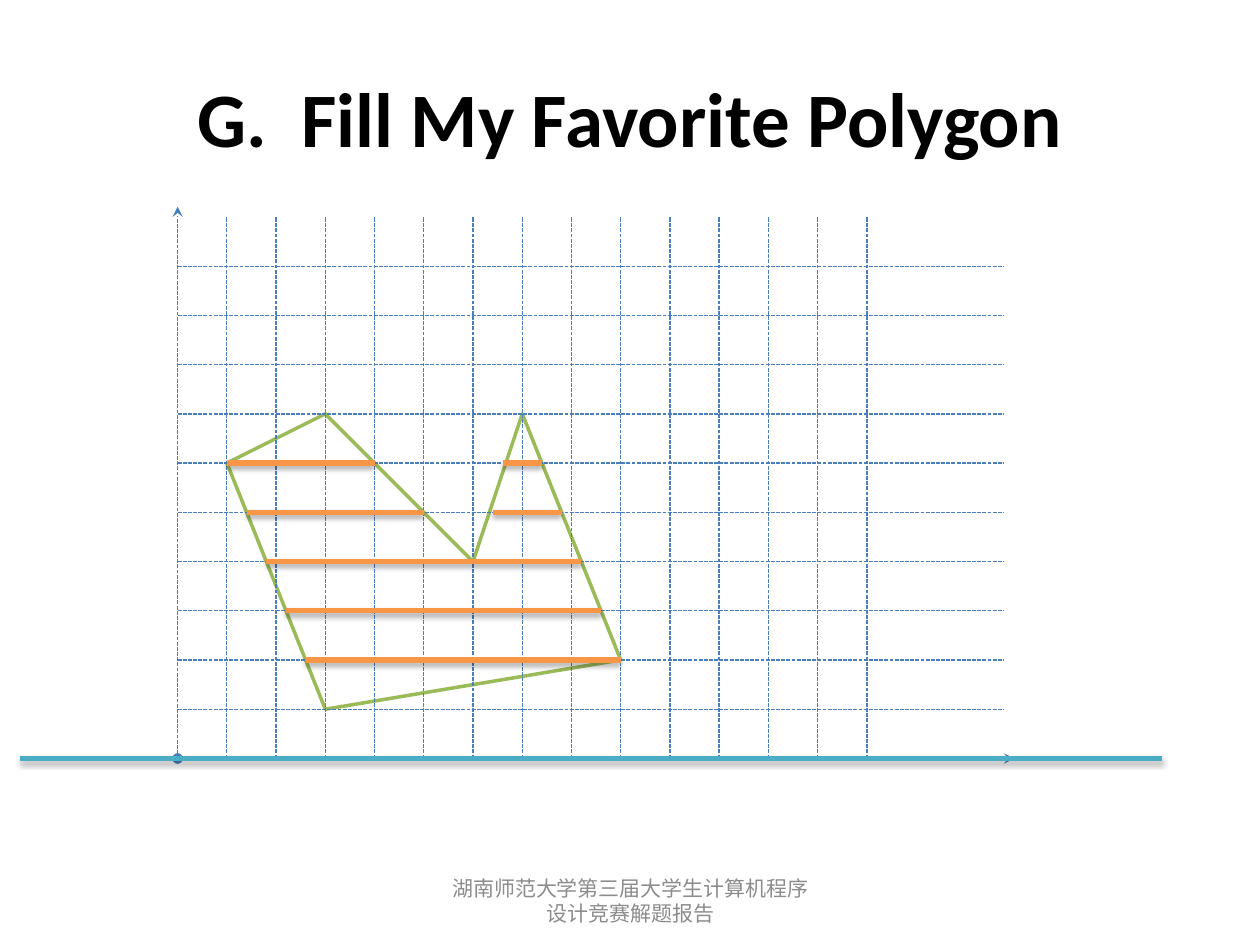
from lxml.etree import SubElement
from pptx import Presentation
from pptx.dml.color import RGBColor
from pptx.enum.dml import MSO_LINE
from pptx.enum.shapes import MSO_CONNECTOR
from pptx.enum.text import MSO_ANCHOR, PP_ALIGN
from pptx.oxml.ns import qn
from pptx.util import Inches, Pt

# Grid: origin in inches, and the length of one unit
X0, Y0 = 1.41, 6.02
COLUMNS, ROWS = 14, 10
STEP = (6.88 - X0) / COLUMNS
GRID_RIGHT, GRID_TOP = 7.97, 1.72

# Polygon corners and scan-line spans (row, from, to) in grid units
POLYGON = [(3, 1), (9, 2), (7, 7), (6, 4), (3, 7), (1, 6)]
SPANS = [(2, 2.6, 9), (3, 2.2, 8.6), (4, 1.8, 8.2),
         (5, 1.4, 5), (5, 6.4, 7.8), (6, 1, 4), (6, 6.6, 7.4)]


def rgb(color):
    return RGBColor.from_string(color)


def grid_x(col):
    return X0 + col * STEP


def grid_y(row):
    return Y0 - row * STEP


def add_text(s, text, left, top, width, height, size, color, bold=False):
    tf = s.shapes.add_textbox(Inches(left), Inches(top), Inches(width), Inches(height)).text_frame
    tf.word_wrap = True
    tf.vertical_anchor = MSO_ANCHOR.MIDDLE
    tf.text = text
    p = tf.paragraphs[0]
    p.alignment = PP_ALIGN.CENTER
    font = p.runs[0].font
    font.name, font.size, font.bold = "Calibri", Pt(size), bold
    font.color.rgb = rgb(color)


def add_line(s, x1, y1, x2, y2, color, width):
    """Add a straight line and return it with its empty effect list."""
    line = s.shapes.add_connector(MSO_CONNECTOR.STRAIGHT,
                                  Inches(x1), Inches(y1), Inches(x2), Inches(y2))
    line.line.color.rgb = rgb(color)
    line.line.width = Pt(width)
    effects = SubElement(line._element.spPr, qn("a:effectLst"))
    return line, effects


def add_grid_line(s, x1, y1, x2, y2, axis=False):
    line, _ = add_line(s, x1, y1, x2, y2, "4B7EBC", 0.75)
    line.line.dash_style = MSO_LINE.SQUARE_DOT
    if axis:
        ln = line._element.spPr.find(qn("a:ln"))
        SubElement(ln, qn("a:headEnd"), type="oval")
        SubElement(ln, qn("a:tailEnd"), type="stealth")


def add_scan_line(s, x1, x2, y, color):
    _, effects = add_line(s, x1, y, x2, y, color, 3)
    shadow = SubElement(effects, qn("a:outerShdw"), blurRad="40000", dist="23000",
                        dir="5400000", rotWithShape="0")
    black = SubElement(shadow, qn("a:srgbClr"), val="000000")
    SubElement(black, qn("a:alpha"), val="35000")


def add_polygon(s, corners):
    points = [(Inches(grid_x(col)), Inches(grid_y(row))) for col, row in corners]
    builder = s.shapes.build_freeform(*points[0])
    builder.add_line_segments(points[1:], close=True)
    sp = builder.convert_to_shape()
    sp.shadow.inherit = False
    sp.fill.solid()
    sp.fill.fore_color.rgb = rgb("FFFFFF")
    sp.line.color.rgb = rgb("9BBB59")
    sp.line.width = Pt(2)


def main():
    prs = Presentation()
    prs.slide_width, prs.slide_height = Inches(10), Inches(7.5)
    s = prs.slides.add_slide(prs.slide_layouts[6])

    add_polygon(s, POLYGON)

    # Title and footer
    add_text(s, "G.  Fill My Favorite Polygon", 0.5, 0.3, 9, 1.25, 44, "000000", bold=True)
    add_text(s, "湖南师范大学第三届大学生计算机程序设计竞赛解题报告",
             3.42, 6.95, 3.17, 0.4, 12, "8C8C8C")

    # Axes and grid
    add_grid_line(s, X0, Y0, 8.05, Y0, axis=True)
    add_grid_line(s, X0, Y0, X0, 1.64, axis=True)
    for row in range(1, ROWS + 1):
        add_grid_line(s, X0, grid_y(row), GRID_RIGHT, grid_y(row))
    for col in range(1, COLUMNS + 1):
        add_grid_line(s, grid_x(col), Y0, grid_x(col), GRID_TOP)

    # Sweep line and filled spans
    add_scan_line(s, 0.16, 9.22, Y0, "4BACC6")
    for row, start, end in SPANS:
        add_scan_line(s, grid_x(start), grid_x(end), grid_y(row), "F79646")

    prs.save("out.pptx")


if __name__ == "__main__":
    main()
